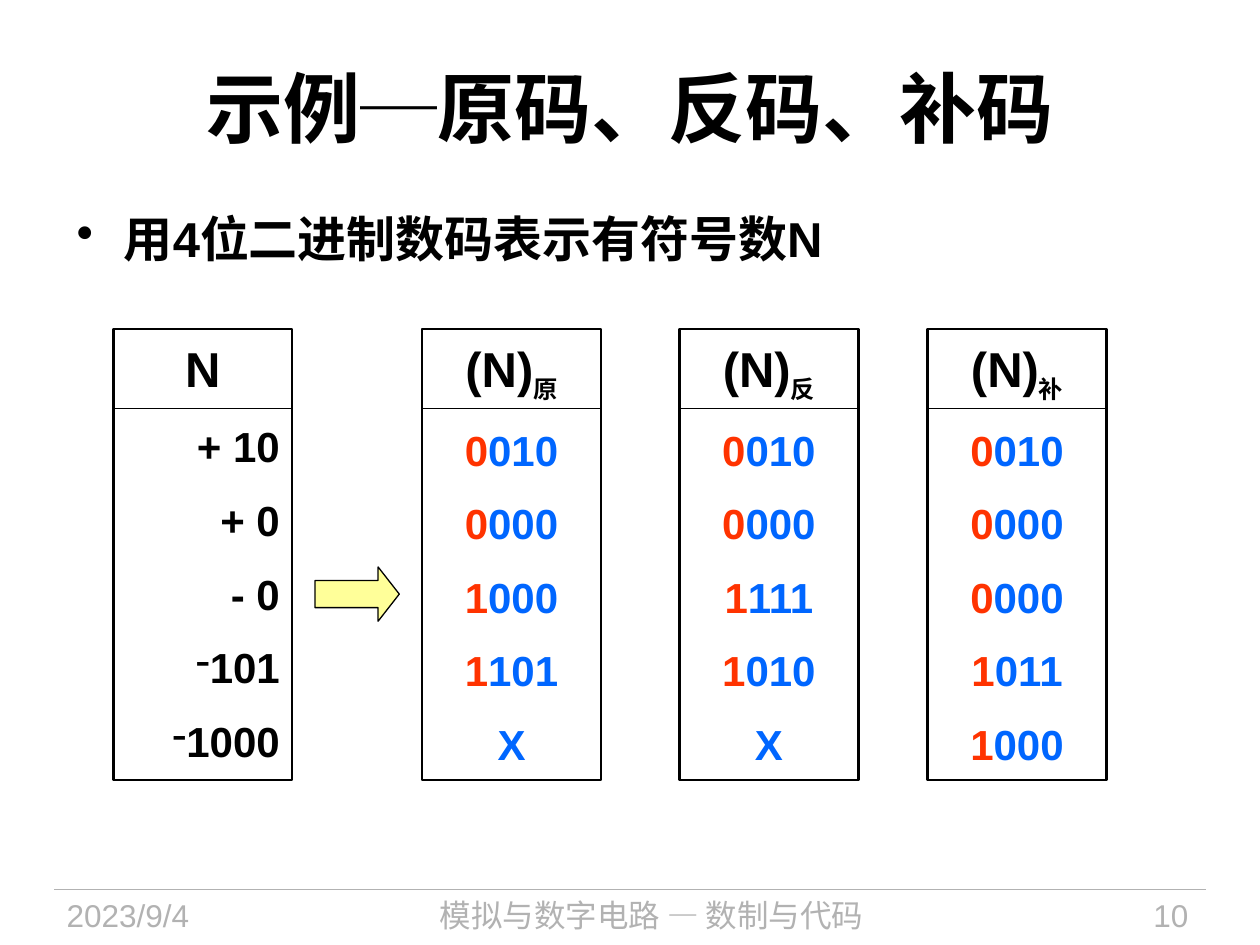
from dataclasses import dataclass
from lxml.etree import SubElement
from pptx import Presentation
from pptx.dml.color import RGBColor
from pptx.enum.shapes import MSO_CONNECTOR, MSO_SHAPE
from pptx.enum.text import MSO_ANCHOR, PP_ALIGN
from pptx.oxml.ns import qn
from pptx.util import Pt


@dataclass(frozen=True)
class Theme:
    latin: str = "Arial"
    cjk: str = "Noto Sans CJK SC"
    ink: str = "000000"
    sign: str = "FF3300"
    digits: str = "0066FF"
    arrow: str = "FFFF99"
    muted: str = "B2B2B2"
    title_size: int = 44
    heading_size: int = 28
    value_size: int = 24
    footer_size: int = 18


THEME = Theme()

TITLE = [("示例─", THEME.cjk), ("原码、反码、补码", THEME.latin)]
STATEMENT = "用4位二进制数码表示有符号数N"
NUMBERS = [("+ 10", None), ("+ 0", None), ("- 0", None), ("101", "-"), ("1000", "-")]
CODES = [
    ("原", 241.2, ["0010", "0000", "1000", "1101", "X"]),
    ("反", 388.3, ["0010", "0000", "1111", "1010", "X"]),
    ("补", 530.1, ["0010", "0000", "0000", "1011", "1000"]),
]
FOOTER = [
    ("2023/9/4", 31, 135.4, PP_ALIGN.LEFT),
    ("模拟与数字电路 — 数制与代码", 179.3, 385.9, PP_ALIGN.CENTER),
    ("10", 590.4, 95.8, PP_ALIGN.RIGHT),
]

NUMBER_LEFT = 64.8
CARD_TOP, CARD_WIDTH, CARD_HEIGHT = 187.9, 102.2, 257.8
RULE_TOP = 233.3
VALUES_TOP, VALUES_INSET = 236.9, 5.4
FOOTER_TOP = 508.3
ROW_GAP = 13.3

deck = Presentation()
deck.slide_width, deck.slide_height = Pt(720), Pt(540)
slide = deck.slides.add_slide(deck.slide_layouts[6])


def rgb(color):
    return RGBColor.from_string(color)


def text_area(left, top, width, height):
    frame = slide.shapes.add_textbox(Pt(left), Pt(top), Pt(width), Pt(height)).text_frame
    frame.word_wrap = True
    return frame


def write(paragraph, runs, size, align=PP_ALIGN.LEFT, color=THEME.ink,
          bold=True, bullet=None, indent=0, name=THEME.latin):
    if bullet:
        props = paragraph._p.get_or_add_pPr()
        props.set("marL", str(Pt(indent)))
        props.set("indent", str(-Pt(indent)))
        SubElement(props, qn("a:buChar")).set("char", bullet)
    paragraph.alignment = align
    font = paragraph.font
    font.size, font.bold, font.name = Pt(size), bold, name
    if color:
        font.color.rgb = rgb(color)
    added = []
    for text in runs:
        run = paragraph.add_run()
        run.text = text
        added.append(run)
    return added


def add_rule(left, top, width, color=THEME.ink):
    rule = slide.shapes.add_connector(
        MSO_CONNECTOR.STRAIGHT, Pt(left), Pt(top), Pt(left + width), Pt(top))
    rule.line.color.rgb = rgb(color)
    rule.line.width = Pt(0.75)
    SubElement(rule._element.spPr, qn("a:effectLst"))


def outlined(kind, left, top, width, height, weight):
    shape = slide.shapes.add_shape(kind, Pt(left), Pt(top), Pt(width), Pt(height))
    shape.shadow.inherit = False
    shape.fill.background()
    shape.line.color.rgb = rgb(THEME.ink)
    shape.line.width = Pt(weight)
    return shape


def add_card(left):
    frame = outlined(MSO_SHAPE.RECTANGLE, left, CARD_TOP, CARD_WIDTH, CARD_HEIGHT, 1.5).text_frame
    frame.word_wrap = True
    frame.vertical_anchor = MSO_ANCHOR.TOP
    frame.margin_top = Pt(5.6)
    add_rule(left, RULE_TOP, CARD_WIDTH)
    return frame


def add_code(symbol, left, values):
    heading = add_card(left).paragraphs[0]
    _, subscript = write(heading, ["(N)", symbol], THEME.heading_size, PP_ALIGN.CENTER)
    subscript.font.size = Pt(THEME.value_size)
    subscript._r.get_or_add_rPr().set("baseline", "-25000")

    frame = text_area(left + VALUES_INSET, VALUES_TOP, CARD_WIDTH - 2 * VALUES_INSET, 208.8)
    frame.margin_top = Pt(5.4)
    for row, value in enumerate(values):
        paragraph = frame.add_paragraph() if row else frame.paragraphs[0]
        if row:
            paragraph.space_before = Pt(ROW_GAP)
        parts = [value[0], value[1:]] if len(value) > 1 else [value]
        runs = write(paragraph, parts, THEME.value_size, PP_ALIGN.CENTER, None)
        for run, color in zip(reversed(runs), (THEME.digits, THEME.sign)):
            run.font.color.rgb = rgb(color)


add_rule(31, FOOTER_TOP, 658, THEME.muted)
for text, left, width, align in FOOTER:
    write(text_area(left, FOOTER_TOP, width, 31.7).paragraphs[0], [text],
          THEME.footer_size, align, THEME.muted, bold=False)

title = text_area(36, 15.8, 648, 90)
title.vertical_anchor = MSO_ANCHOR.MIDDLE
title_runs = write(title.paragraphs[0], [text for text, _ in TITLE],
                   THEME.title_size, PP_ALIGN.CENTER)
for run, (_, name) in zip(title_runs, TITLE):
    run.font.name = name

statement = text_area(36.7, 119.5, 646.6, 65.5).paragraphs[0]
statement.line_spacing = 0.9
write(statement, [STATEMENT], THEME.heading_size, bullet="•", indent=27)

numbers = add_card(NUMBER_LEFT)
write(numbers.paragraphs[0], ["N"], THEME.heading_size, PP_ALIGN.CENTER)
for text, bullet in NUMBERS:
    number = numbers.add_paragraph()
    number.space_before = Pt(ROW_GAP)
    write(number, [text], THEME.value_size, PP_ALIGN.RIGHT, bullet=bullet)

arrow = outlined(MSO_SHAPE.RIGHT_ARROW, 180, 324, 48.2, 31, 0.75)
arrow.adjustments[1] = 0.39
arrow.fill.solid()
arrow.fill.fore_color.rgb = rgb(THEME.arrow)

for symbol, left, values in CODES:
    add_code(symbol, left, values)

deck.save("out.pptx")
